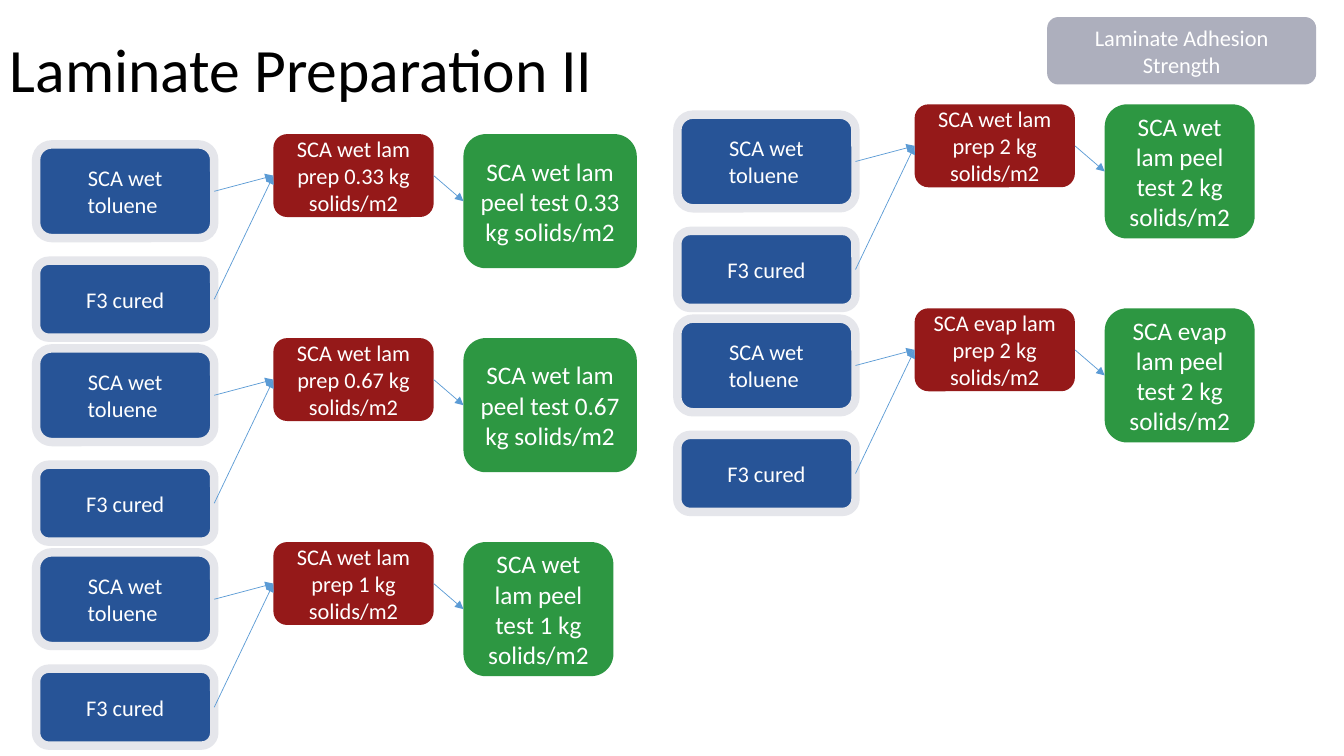
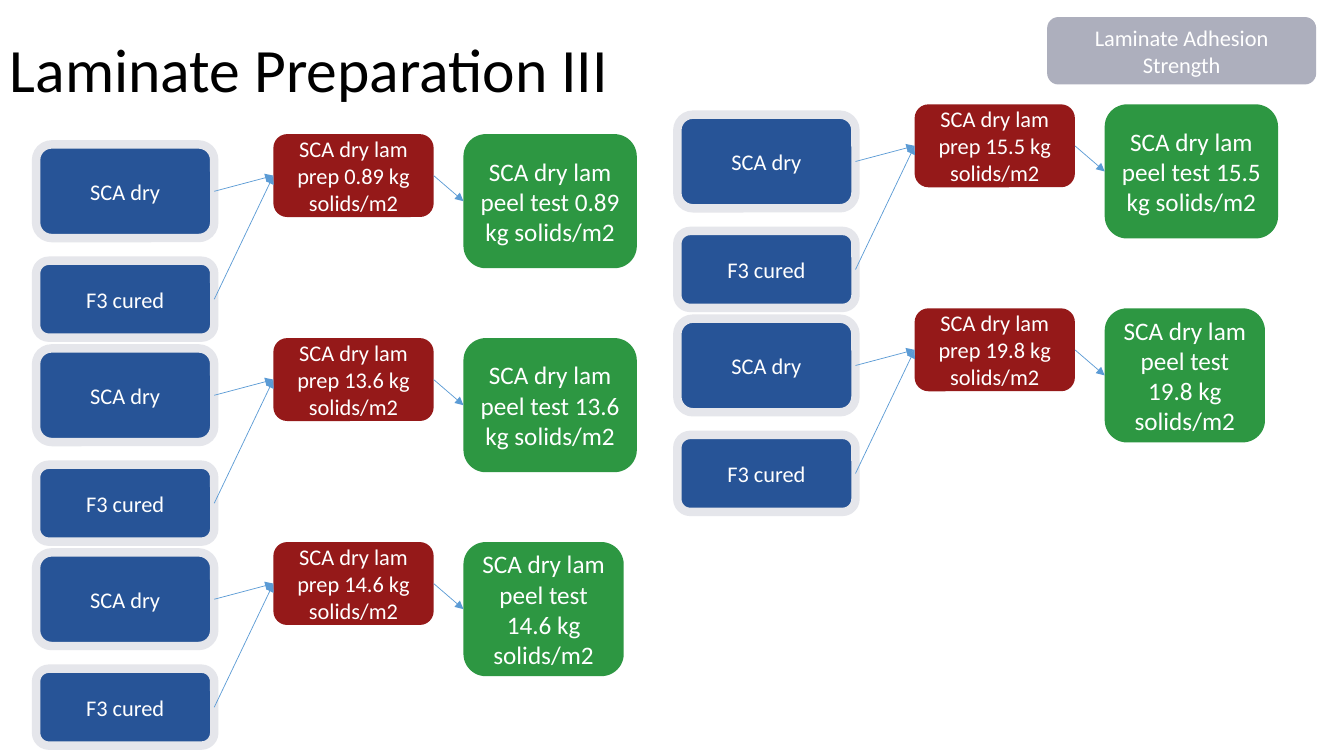
"""Build two flow-chart slides on laminate preparation and peel tests."""
import pptx
import pptx.dml.color
import pptx.enum.shapes
import pptx.enum.text
import pptx.oxml.ns
import pptx.util
from lxml import etree

Cm = pptx.util.Cm
Pt = pptx.util.Pt

COLOURS = {
    "title": "000000",
    "text": "FFFFFF",
    "material": "275497",
    "frame": "E5E6EB",
    "prep": "951919",
    "peel": "2D9742",
    "badge": "ADAFBD",
    "arrow": "5B9BD5",
}
FONT = "Calibri"
LEFT_SITE, RIGHT_SITE = 1, 3
COLUMNS = [(0.91, 3.38), (17.07, 2.63)]
ROW_STEP = 5.14
NARROW, MEDIUM, WIDE = 3.78, 4.04, 4.37

SLIDES = [
    ("Laminate Preparation II", "SCA wet toluene ", [
        [("SCA wet", "0.33", WIDE), ("SCA wet", "0.67", WIDE), ("SCA wet", "1", NARROW)],
        [("SCA wet", "2", NARROW), ("SCA evap", "2", NARROW)],
    ]),
    ("Laminate Preparation III", "SCA dry", [
        [("SCA dry", "0.89", WIDE), ("SCA dry", "13.6", WIDE), ("SCA dry", "14.6", MEDIUM)],
        [("SCA dry", "15.5", WIDE), ("SCA dry", "19.8", MEDIUM)],
    ]),
]


class Deck:
    def __init__(self):
        self.presentation = pptx.Presentation()
        self.presentation.slide_width = Cm(33.87)
        self.presentation.slide_height = Cm(19.05)
        self.slide = None

    def colour(self, name):
        return pptx.dml.color.RGBColor.from_string(COLOURS[name])

    def new_slide(self, title):
        self.slide = self.presentation.slides.add_slide(self.presentation.slide_layouts[6])
        box = self.slide.shapes.add_textbox(Cm(0), Cm(0), Cm(29.21), Cm(3.66))
        paragraph = self.add_text(box, title, 44, "title")
        paragraph.line_spacing = 0.9

    def add_text(self, shape, text, size, colour):
        frame = shape.text_frame
        frame.word_wrap = True
        frame.vertical_anchor = pptx.enum.text.MSO_ANCHOR.MIDDLE
        paragraph = frame.paragraphs[0]
        run = paragraph.add_run()
        run.text = text
        run.font.name = FONT
        run.font.size = Pt(size)
        run.font.color.rgb = self.colour(colour)
        return paragraph

    def box(self, text, fill, left, top, width, height, size=16, framed=False):
        shape = self.slide.shapes.add_shape(
            pptx.enum.shapes.MSO_SHAPE.ROUNDED_RECTANGLE,
            Cm(left), Cm(top), Cm(width), Cm(height))
        shape.shadow.inherit = False
        shape.fill.solid()
        shape.fill.fore_color.rgb = self.colour(fill)
        if framed:
            shape.line.color.rgb = self.colour("frame")
            shape.line.width = Pt(6)
        else:
            shape.line.fill.background()
        paragraph = self.add_text(shape, text, size, "text")
        paragraph.alignment = pptx.enum.text.PP_ALIGN.CENTER
        return shape

    def arrow(self, source, target):
        connector = self.slide.shapes.add_connector(
            pptx.enum.shapes.MSO_CONNECTOR.STRAIGHT, 0, 0, 0, 0)
        connector.begin_connect(source, RIGHT_SITE)
        connector.end_connect(target, LEFT_SITE)
        connector.line.color.rgb = self.colour("arrow")
        connector.line.width = Pt(0.5)
        qn = pptx.oxml.ns.qn
        properties = connector._element.spPr
        etree.SubElement(properties.find(qn("a:ln")), qn("a:tailEnd"), type="triangle")
        etree.SubElement(properties, qn("a:effectLst"))

    def flow(self, left, top, material_text, method, amount, peel_width):
        load = f"{amount} kg solids/m2"
        material = self.box(material_text, "material", left, top + 0.26, 4.49, 2.36, framed=True)
        cured = self.box("F3 cured", "material", left, top + 3.19, 4.49, 1.94, framed=True)
        prep = self.box(f"{method} lam prep {load}", "prep", left + 5.98, top, 4.04, 2.09)
        peel = self.box(f"{method} lam peel test {load}", "peel",
                        left + 10.77, top, peel_width, 3.38, size=18)
        for source, target in [(material, prep), (cured, prep), (prep, peel)]:
            self.arrow(source, target)


def main():
    deck = Deck()
    for title, material, columns in SLIDES:
        deck.new_slide(title)
        for (left, top), flows in zip(COLUMNS, columns):
            for row, (method, amount, peel_width) in enumerate(flows):
                deck.flow(left, top + row * ROW_STEP, material, method, amount, peel_width)
        deck.box("Laminate Adhesion Strength", "badge", 26.39, 0.43, 6.78, 1.7)
    deck.presentation.save("out.pptx")


if __name__ == "__main__":
    main()
